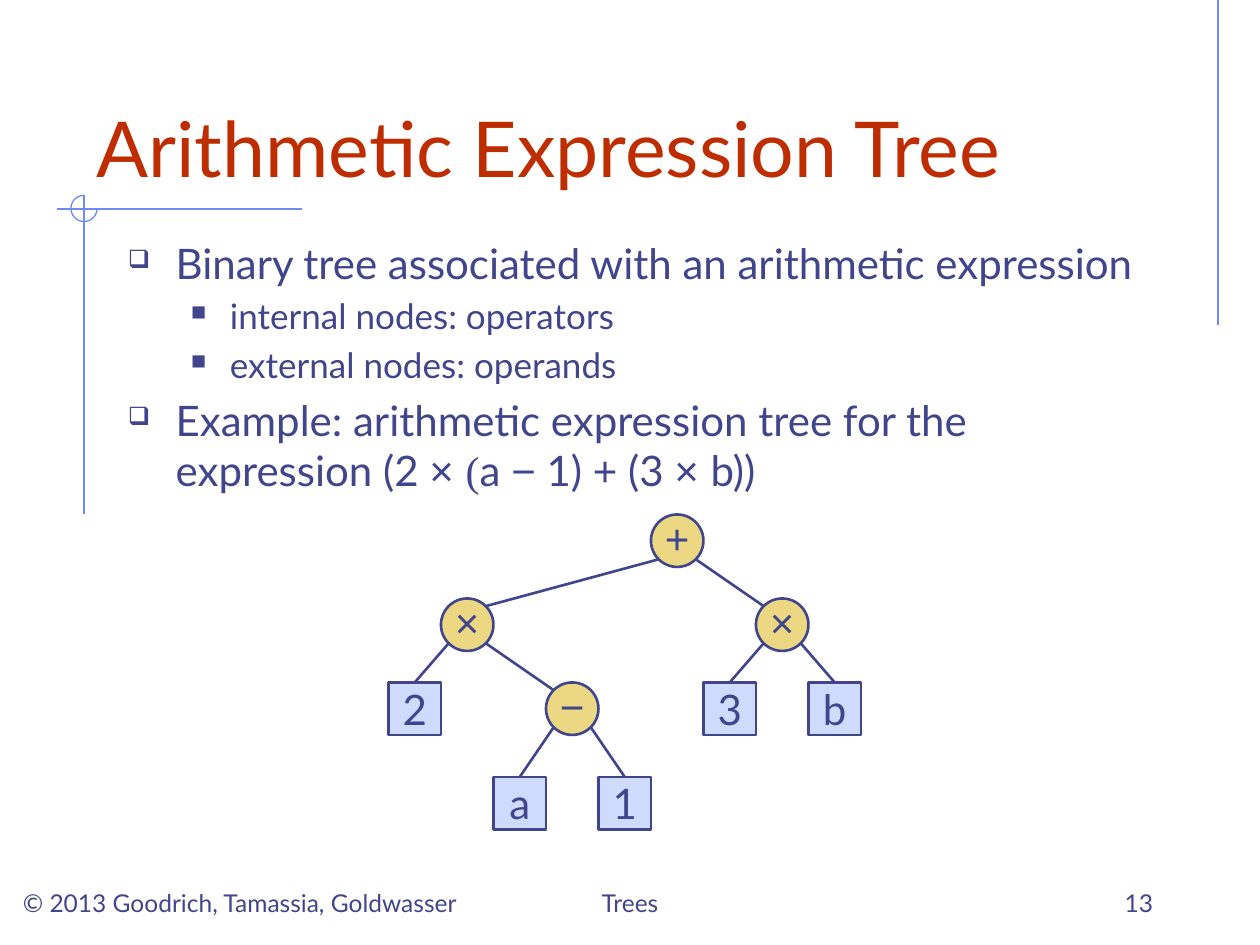
from math import sqrt

from lxml.etree import SubElement
from pptx import Presentation
from pptx.dml.color import RGBColor
from pptx.enum.shapes import MSO_CONNECTOR, MSO_SHAPE
from pptx.enum.text import MSO_ANCHOR as ANCHOR, PP_ALIGN as ALIGN
from pptx.oxml.ns import qn
from pptx.util import Inches, Pt

INK = RGBColor(0x40, 0x45, 0x8C)
TITLE_RED = RGBColor(0xBE, 0x2D, 0x00)
RULE_BLUE = RGBColor(0x6F, 0x89, 0xF7)
OPERATOR_GOLD = RGBColor(0xEC, 0xD8, 0x82)
OPERAND_BLUE = RGBColor(0xCF, 0xDB, 0xFD)

COLUMNS, ROWS = 120, 90
CELL = 1 / 12  # inches
NODE = 5  # node side, in cells
DIAGONAL = NODE / 2 / sqrt(2)  # centre to 45° point on an operator's rim

TEXT, MATH = "Lato", "Arial"

# level: size, left indent, hanging indent (inches), bullet
OUTLINE_LEVELS = [(24, 0.38, 0.38, "❑"), (20, 0.81, 0.31, "■")]

OUTLINE = [
    (0, [("Binary tree associated with an arithmetic expression", TEXT)]),
    (1, [("internal nodes: operators", TEXT)]),
    (1, [("external nodes: operands", TEXT)]),
    (0, [("Example: arithmetic expression tree for the expression (2 ", TEXT),
         ("× ", MATH), ("(", "Times New Roman"), ("a ", TEXT), ("−", MATH),
         (" 1) ", TEXT), ("+", MATH), (" (3 ", TEXT), ("× ", MATH),
         ("b))", TEXT)]),
]

# name: label, column, row, parent
OPERATORS = {
    "sum": ("+", 62, 49, None),
    "right product": ("×", 72, 57, "sum"),
    "left product": ("×", 42, 57, "sum"),
    "difference": ("−", 52, 65, "left product"),
}
OPERANDS = [
    ("2", 37, 65, "left product"),
    ("a", 47, 74, "difference"),
    ("1", 57, 74, "difference"),
    ("3", 67, 65, "right product"),
    ("b", 77, 65, "right product"),
]


def cells(*counts):
    return [Inches(count * CELL) for count in counts]


def apply(target, values):
    for name, value in values.items():
        setattr(target, name, value)


class TreeSlide:
    """Holds the slide and its style; positions are in grid cells."""

    def __init__(self, prs):
        self.slide = prs.slides.add_slide(prs.slide_layouts[6])
        self.shapes = self.slide.shapes

    def run(self, paragraph, wording, size, font=TEXT, color=INK):
        run = paragraph.add_run()
        run.text = wording
        apply(run.font, {"size": Pt(size), "name": font})
        run.font.color.rgb = color

    def frame(self, box, anchor):
        frame = self.shapes.add_textbox(*cells(*box)).text_frame
        apply(frame, {"word_wrap": True, "vertical_anchor": anchor})
        return frame

    def label(self, box, wording, size, align=ALIGN.LEFT, color=INK):
        paragraph = self.frame(box, ANCHOR.BOTTOM).paragraphs[0]
        paragraph.alignment = align
        self.run(paragraph, wording, size, color=color)

    def outline(self, box, items):
        frame = self.frame(box, ANCHOR.TOP)
        for index, (level, runs) in enumerate(items):
            paragraph = frame.add_paragraph() if index else frame.paragraphs[0]
            size, left, hanging, bullet = OUTLINE_LEVELS[level]
            apply(paragraph, {"level": level, "space_before": Pt(size * 0.2)})
            self.bullet(paragraph, left, hanging, bullet)
            for wording, font in runs:
                self.run(paragraph, wording, size, font)

    def bullet(self, paragraph, left, hanging, character):
        props = paragraph._p.get_or_add_pPr()
        props.set("marL", str(Inches(left)))
        props.set("indent", str(-Inches(hanging)))
        color = SubElement(props, qn("a:buClr"))
        SubElement(color, qn("a:srgbClr")).set("val", str(INK))
        SubElement(props, qn("a:buSzPct")).set("val", "60000")
        SubElement(props, qn("a:buChar")).set("char", character)

    def line(self, start, end, color=INK, width=1.5):
        connector = self.shapes.add_connector(
            MSO_CONNECTOR.STRAIGHT, *cells(*start, *end))
        connector.line.color.rgb = color
        connector.line.width = Pt(width)
        SubElement(connector._element.spPr, qn("a:effectLst"))
        return connector

    def ring(self, left, top, side):
        """Three-quarter circle, open at the upper right."""
        arc = self.shapes.add_shape(MSO_SHAPE.ARC, *cells(left, top, side, side))
        arc.adjustments[0] = 0
        arc.adjustments[1] = 162  # 270 degrees
        arc.shadow.inherit = False
        arc.fill.background()
        arc.line.color.rgb = RULE_BLUE
        arc.line.width = Pt(0.75)

    def node(self, kind, col, row, label, fill, font, insets):
        node = self.shapes.add_shape(kind, *cells(col, row, NODE, NODE))
        node.shadow.inherit = False
        node.fill.solid()
        node.fill.fore_color.rgb = fill
        node.line.color.rgb = INK
        node.line.width = Pt(1.5)
        frame = node.text_frame
        apply(frame, {"word_wrap": False, "vertical_anchor": ANCHOR.MIDDLE,
                      **insets})
        frame.paragraphs[0].alignment = ALIGN.CENTER
        self.run(frame.paragraphs[0], label, 24, font)
        return node

    def operator(self, label, col, row):
        insets = {"margin_left": 0, "margin_right": 0, "margin_top": 0,
                  "margin_bottom": Inches(0.05)}
        return self.node(MSO_SHAPE.OVAL, col, row, label, OPERATOR_GOLD, MATH,
                         insets)

    def operand(self, label, col, row):
        return self.node(MSO_SHAPE.RECTANGLE, col, row, label, OPERAND_BLUE,
                         TEXT, {})

    def edge(self, parent, col, row, operand=None):
        """Join a parent operator to the child at col, row."""
        _, parent_col, parent_row, _ = OPERATORS[parent]
        half = NODE / 2
        reach = DIAGONAL if col > parent_col else -DIAGONAL
        start = (parent_col + half + reach, parent_row + half + DIAGONAL)
        end = (col + half - reach, row + half - DIAGONAL)
        connector = self.line(start, end)
        if operand is not None:
            connector.end_connect(operand, 0)


def main():
    prs = Presentation()
    prs.slide_width, prs.slide_height = cells(COLUMNS, ROWS)
    page = TreeSlide(prs)

    for start, end in [((116, 0), (116, 31)),
                       ((28.8, 19.9), (5.4, 19.9)),
                       ((8, 18.6), (8, 49))]:
        page.line(start, end, RULE_BLUE, 0.75)
    page.ring(6.75, 18.6, 2.5)

    page.label((8, 4, 102, 15), "Arithmetic Expression Tree", 44,
               color=TITLE_RED)
    page.outline((11, 22, 102, 26), OUTLINE)

    for label, col, row, _ in OPERATORS.values():
        page.operator(label, col, row)
    leaves = [page.operand(*leaf[:3]) for leaf in OPERANDS]
    for _, col, row, parent in OPERATORS.values():
        if parent:
            page.edge(parent, col, row)
    for (_, col, row, parent), leaf in zip(OPERANDS, leaves):
        page.edge(parent, col, row, leaf)

    for left, width, wording, align in [
        (1, 47, "© 2013 Goodrich, Tamassia, Goldwasser", ALIGN.LEFT),
        (41, 38, "Trees", ALIGN.CENTER),
        (86, 25, "13", ALIGN.RIGHT),
    ]:
        page.label((left, 82, width, 6), wording, 14, align)

    prs.save("out.pptx")


if __name__ == "__main__":
    main()
